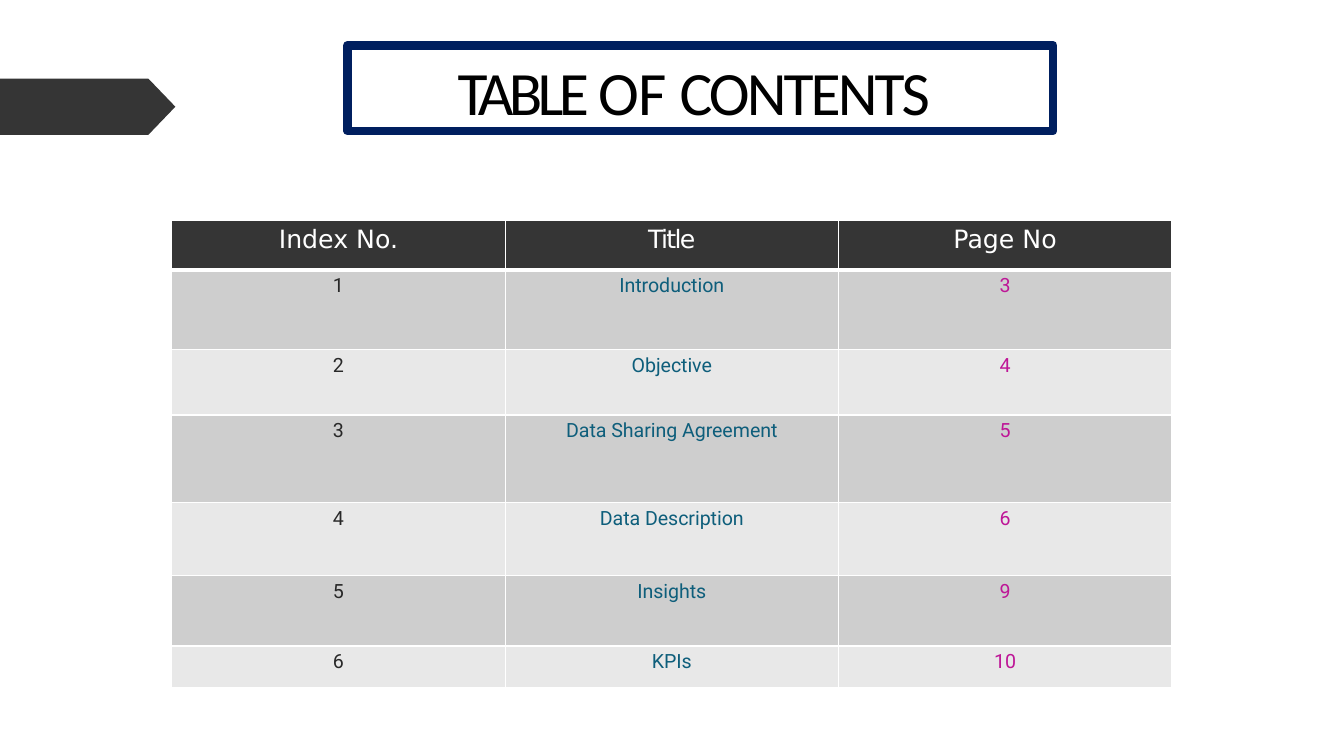
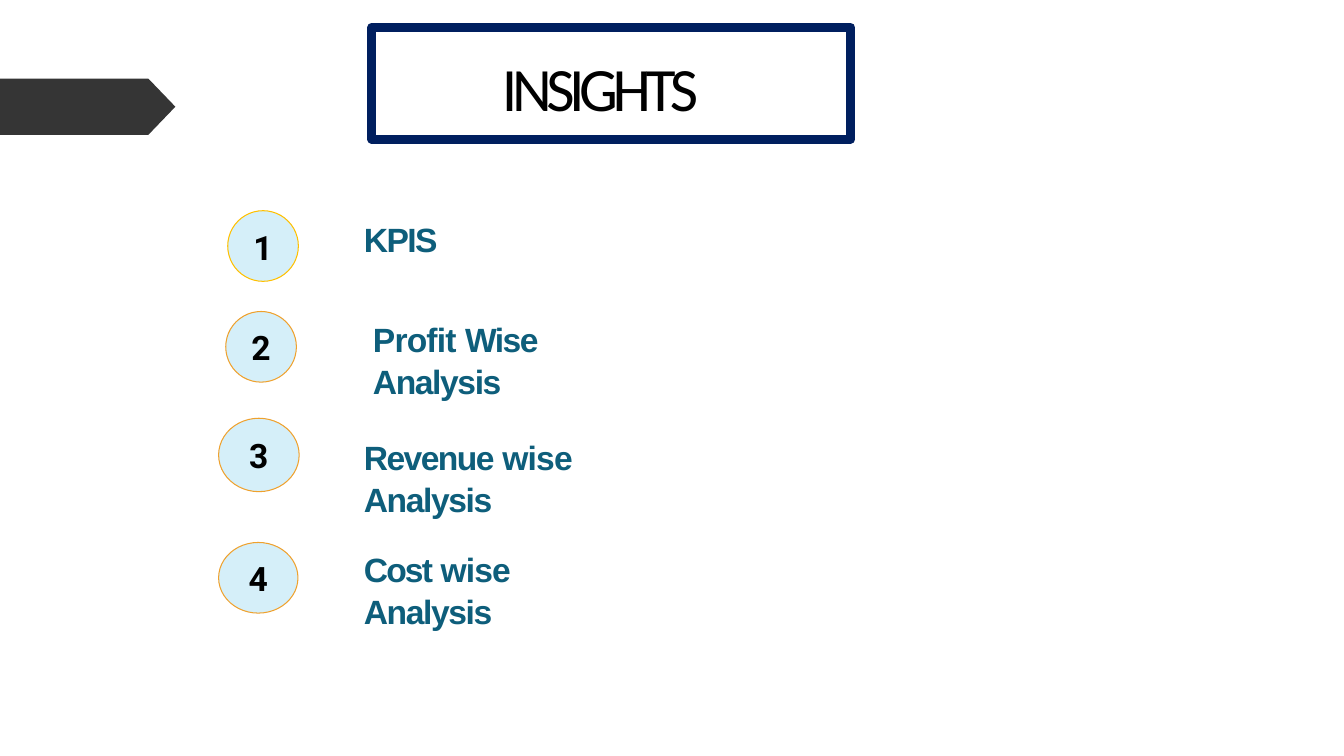
import dataclasses

import pptx
import pptx.dml.color
import pptx.enum.shapes
import pptx.enum.text
import pptx.oxml
import pptx.oxml.ns
import pptx.util

Cm = pptx.util.Cm
Pt = pptx.util.Pt
Shapes = pptx.enum.shapes.MSO_SHAPE
Align = pptx.enum.text.PP_ALIGN
Anchor = pptx.enum.text.MSO_ANCHOR


@dataclasses.dataclass(frozen=True)
class Theme:
    dark: str = "353535"
    white: str = "FFFFFF"
    black: str = "000000"
    navy: str = "001F5F"
    teal: str = "0E5E7B"
    magenta: str = "BE1697"
    index: str = "282828"
    pale_blue: str = "D5EFF9"
    gold: str = "FFC000"
    orange: str = "EFA12D"
    stripes: tuple = ("CECECE", "E8E8E8")
    title_font: str = "Calibri"
    header_font: str = "DejaVu Sans"
    body_font: str = "Roboto"
    label_font: str = "Arial"
    title_size: float = 44
    label_size: float = 24
    header_size: float = 18
    cell_size: float = 14
    frame_line: float = 6.25
    ring_line: float = 0.75


THEME = Theme()

CONTENTS = {
    "title": [("TABLE ", -3.4), ("OF ", -0.6), ("CONTENTS", -2.1)],
    "title_box": (11.53, 1.27, 12.6, 2),
    "frame": (8.76, 1.14, 17.78, 2.16),
}
INSIGHTS = {
    "title": [("INSIGHTS", -3.9)],
    "title_box": (12.65, 1.17, 5.8, 2),
    "frame": (9.37, 0.69, 12.07, 2.82),
}

HEADERS = [("Index No.", 0), ("Title", -1.2), ("Page No", 0)]
CHAPTERS = [
    ("Introduction", 3, 2.01),
    ("Objective", 4, 1.65),
    ("Data Sharing Agreement", 5, 2.21),
    ("Data Description", 6, 1.83),
    ("Insights", 9, 1.78),
    ("KPIs", 10, 1.04),
]
HEADER_HEIGHT = 1.24
COLUMN_WIDTH = 8.4
TABLE_LEFT, TABLE_TOP = 4.33, 5.56

TOPICS = [
    {"runs": [("KPIS", -1.1)], "at": (9.17, 5.44),
     "badge": (5.74, 5.31, 1.78, 1.78), "ring": THEME.gold},
    {"runs": [("Profit ", -0.6), ("Wise ", -1.1), ("Analysis", -1)], "at": (9.4, 7.95),
     "badge": (5.69, 7.85, 1.78, 1.78), "ring": THEME.orange},
    {"runs": [("Revenue ", -1.1), ("wise ", -0.6), ("Analysis", -1)], "at": (9.17, 10.92),
     "badge": (5.51, 10.54, 2.03, 1.85), "ring": THEME.orange},
    {"runs": [("Cost ", -1.3), ("wise ", -0.6), ("Analysis", -1)], "at": (9.17, 13.74),
     "badge": (5.51, 13.67, 2, 1.78), "ring": THEME.orange},
]
LABEL_SIZE = (6.5, 1.09)


def rgb(value):
    return pptx.dml.color.RGBColor.from_string(value)


def lengths(values):
    return [Cm(value) for value in values]


def write(para, runs, font, size, color, bold=False):
    for text, spacing in runs:
        span = para.add_run()
        span.text = text
        span.font.name = font
        span.font.size = Pt(size)
        span.font.bold = bold
        span.font.color.rgb = rgb(color)
        if spacing:
            span._r.get_or_add_rPr().set("spc", str(round(spacing * 100)))


def prepare(frame, anchor):
    frame.word_wrap = True
    frame.auto_size = pptx.enum.text.MSO_AUTO_SIZE.NONE
    frame.vertical_anchor = anchor
    frame.margin_left = frame.margin_right = frame.margin_bottom = 0
    frame.margin_top = Cm(0.03)
    return frame.paragraphs[0]


def add_shape(page, kind, place, fill=None, line=None, width=0):
    shape = page.shapes.add_shape(kind, *lengths(place))
    shape.shadow.inherit = False
    if fill:
        shape.fill.solid()
        shape.fill.fore_color.rgb = rgb(fill)
    else:
        shape.fill.background()
    if line:
        shape.line.color.rgb = rgb(line)
        shape.line.width = Pt(width)
    else:
        shape.line.fill.background()
    return shape


def add_page(deck, content):
    page = deck.slides.add_slide(deck.slide_layouts[5])
    band = add_shape(page, Shapes.PENTAGON, (0, 1.98, 4.42, 1.42), THEME.dark)
    band.adjustments[0] = 0.48
    add_shape(page, Shapes.RECTANGLE, content["frame"], line=THEME.navy, width=THEME.frame_line)
    title = page.shapes.title
    title.left, title.top, title.width, title.height = lengths(content["title_box"])
    para = prepare(title.text_frame, Anchor.MIDDLE)
    para.alignment = Align.LEFT
    para.space_before = Pt(1)
    write(para, content["title"], THEME.title_font, THEME.title_size, THEME.black)
    return page


def border_cell(cell, widths):
    properties = cell._tc.get_or_add_tcPr()
    for position, (side, width) in enumerate(widths.items()):
        properties.insert(position, pptx.oxml.parse_xml(
            f'<a:{side} {pptx.oxml.ns.nsdecls("a")} w="{Pt(width)}"><a:solidFill>'
            f'<a:srgbClr val="{THEME.white}"/></a:solidFill></a:{side}>'))


def fill_cell(cell, run, font, size, color, fill, widths):
    cell.fill.solid()
    cell.fill.fore_color.rgb = rgb(fill)
    cell.margin_left = cell.margin_right = cell.margin_bottom = 0
    cell.margin_top = Cm(0.11)
    para = cell.text_frame.paragraphs[0]
    para.alignment = Align.CENTER
    para.space_before = Pt(3.2)
    write(para, [run], font, size, color)
    border_cell(cell, widths)


def add_contents_table(page):
    heights = [HEADER_HEIGHT] + [height for _, _, height in CHAPTERS]
    place = (TABLE_LEFT, TABLE_TOP, COLUMN_WIDTH * len(HEADERS), sum(heights))
    table = page.shapes.add_table(len(heights), len(HEADERS), *lengths(place)).table
    for column in table.columns:
        column.width = Cm(COLUMN_WIDTH)
    for row, height in zip(table.rows, heights):
        row.height = Cm(height)
    thin = {"lnL": 1, "lnR": 1, "lnT": 1, "lnB": 1}
    for column, header in enumerate(HEADERS):
        fill_cell(table.cell(0, column), header, THEME.header_font, THEME.header_size,
                  THEME.white, THEME.dark, thin | {"lnB": 3})
    colors = (THEME.index, THEME.teal, THEME.magenta)
    for number, (name, page_number, _) in enumerate(CHAPTERS, 1):
        runs = [(str(number), 0), (name, -0.05), (str(page_number), 0)]
        widths = thin | {"lnT": 3} if number == 1 else thin
        for column, (run, color) in enumerate(zip(runs, colors)):
            fill_cell(table.cell(number, column), run, THEME.body_font, THEME.cell_size,
                      color, THEME.stripes[(number - 1) % 2], widths)


def add_topic(page, number, topic):
    badge = add_shape(page, Shapes.OVAL, topic["badge"], THEME.pale_blue,
                      topic["ring"], THEME.ring_line)
    para = prepare(badge.text_frame, Anchor.MIDDLE)
    para.alignment = Align.CENTER
    write(para, [(str(number), 0)], THEME.body_font, THEME.label_size, THEME.black, True)
    box = page.shapes.add_textbox(*lengths(topic["at"] + LABEL_SIZE))
    para = prepare(box.text_frame, Anchor.TOP)
    para.space_before = Pt(1)
    para.line_spacing = 1.05
    write(para, topic["runs"], THEME.label_font, THEME.label_size, THEME.teal, True)


def main():
    deck = pptx.Presentation()
    deck.slide_width, deck.slide_height = Cm(33.87), Cm(19.05)
    add_contents_table(add_page(deck, CONTENTS))
    page = add_page(deck, INSIGHTS)
    for number, topic in enumerate(TOPICS, 1):
        add_topic(page, number, topic)
    deck.save("out.pptx")


if __name__ == "__main__":
    main()
